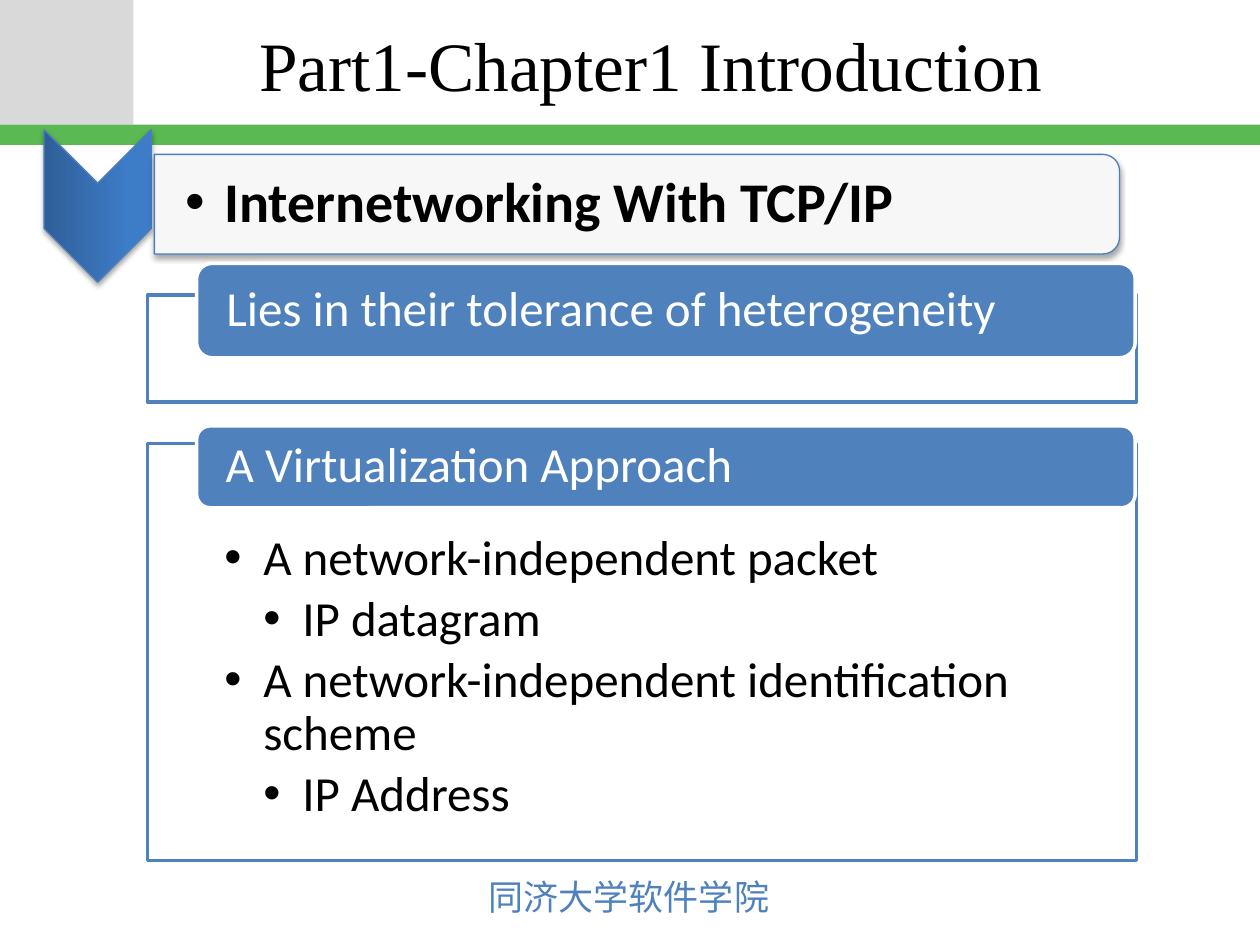
from lxml.etree import SubElement
from pptx import Presentation
from pptx.dml.color import RGBColor
from pptx.enum.shapes import MSO_SHAPE as Preset
from pptx.enum.text import MSO_ANCHOR as Anchor, PP_ALIGN as Align
from pptx.oxml import parse_xml
from pptx.oxml.ns import nsdecls, qn
from pptx.util import Inches, Pt

BLACK = RGBColor(0x00, 0x00, 0x00)
WHITE = RGBColor(0xFF, 0xFF, 0xFF)
GRAY = RGBColor(0xD9, 0xD9, 0xD9)
PALE = RGBColor(0xF7, 0xF7, 0xF7)
GREEN = RGBColor(0x5A, 0xB9, 0x53)
BLUE = RGBColor(0x4F, 0x81, 0xBD)
EDGE_BLUE = RGBColor(0x4B, 0x7E, 0xBC)
DARK_BLUE = RGBColor(0x2F, 0x5F, 0x99)
BRIGHT_BLUE = RGBColor(0x3D, 0x7C, 0xC7)

INDENT = 0.31
SHADOW = (
    f'<a:effectLst {nsdecls("a")}><a:outerShdw blurRad="39370" dist="22860" '
    'dir="5400000" rotWithShape="0"><a:srgbClr val="000000">'
    '<a:alpha val="35000"/></a:srgbClr></a:outerShdw></a:effectLst>'
)


class SlideBuilder:
    body_font = "Calibri"
    title_font = "Times New Roman"
    footer_font = "Noto Sans CJK JP"

    def __init__(self, presentation):
        self.slide = presentation.slides.add_slide(presentation.slide_layouts[5])

    def box(self, preset, bounds, fill, line=None, width=0.75, rotation=0):
        shape = self.slide.shapes.add_shape(preset, *map(Inches, bounds))
        shape.shadow.inherit = False
        shape.rotation = rotation
        shape.fill.solid()
        shape.fill.fore_color.rgb = fill
        if line is None:
            shape.line.fill.background()
        else:
            shape.line.color.rgb = line
            shape.line.width = Pt(width)
        return shape

    def raised_box(self, preset, bounds, fill):
        """Add a shape turned by 90 degrees, with a thin edge and a soft shadow."""
        shape = self.box(preset, bounds, fill, EDGE_BLUE, rotation=90)
        properties = shape._element.spPr
        properties.replace(properties.find(qn("a:effectLst")), parse_xml(SHADOW))
        return shape

    def text_box(self, bounds):
        return self.slide.shapes.add_textbox(*map(Inches, bounds))

    def frame(self, shape, insets, anchor=Anchor.MIDDLE, wrap=True):
        frame = shape.text_frame
        settings = {"word_wrap": wrap, "vertical_anchor": anchor}
        for side, inset in zip(("left", "top", "right", "bottom"), insets):
            settings[f"margin_{side}"] = Inches(inset)
        for name, value in settings.items():
            setattr(frame, name, value)
        return frame

    def set_text(self, paragraph, text, align=Align.LEFT, **font):
        paragraph.text = text
        paragraph.alignment = align
        color = font.pop("color", BLACK)
        for name, value in {"name": self.body_font, **font}.items():
            setattr(paragraph.runs[0].font, name, value)
        paragraph.runs[0].font.color.rgb = color

    def bullets(self, frame, items, **font):
        """Fill the frame with (level, text) items, each level one indent further in."""
        for index, (level, text) in enumerate(items):
            paragraph = frame.paragraphs[0] if index == 0 else frame.add_paragraph()
            properties = paragraph._p.get_or_add_pPr()
            properties.set("marL", str(Inches(INDENT * level)))
            properties.set("indent", str(-Inches(INDENT)))
            SubElement(properties, qn("a:buFont"), typeface="Arial")
            SubElement(properties, qn("a:buChar"), char="•")
            paragraph.level = level
            paragraph.line_spacing = 0.9
            paragraph.space_before = Pt(0)
            paragraph.space_after = Pt(4.6)
            self.set_text(paragraph, text, **font)

    def title(self, text, bounds):
        title = self.slide.shapes.title
        for name, value in zip(("left", "top", "width", "height"), bounds):
            setattr(title, name, Inches(value))
        frame = self.frame(title, (0.1, 0.05, 0.1, 0.05))
        self.set_text(frame.paragraphs[0], text, Align.CENTER,
                      name=self.title_font, size=Pt(39.6))

    def footer(self, text, bounds):
        frame = self.frame(self.text_box(bounds), (0.1, 0.05, 0.1, 0.05),
                           Anchor.TOP, wrap=False)
        paragraph = frame.paragraphs[0]
        self.set_text(paragraph, text, name=self.footer_font, size=Pt(20), color=BLUE)
        SubElement(paragraph.runs[0]._r.get_or_add_rPr(), qn("a:ea"),
                   typeface=self.footer_font)

    def section(self, heading, top, height, label_top, label_height, items=()):
        """Add an outlined panel with a heading label over its top edge."""
        panel = self.box(Preset.RECTANGLE, (1.17, top, 7.85, height), WHITE, BLUE, 2)
        if items:
            frame = self.frame(panel, (0.61, 0.71, 0.61, 0.22), Anchor.TOP)
            self.bullets(frame, items, size=Pt(28))
        label = self.box(Preset.ROUNDED_RECTANGLE,
                         (1.56, label_top, 7.45, label_height), BLUE, WHITE, 2)
        paragraph = self.frame(label, (0.2, 0, 0.2, 0)).paragraphs[0]
        paragraph.line_spacing = 0.9
        self.set_text(paragraph, heading, size=Pt(28), color=WHITE)

    def chevron(self, bounds):
        shape = self.raised_box(Preset.CHEVRON, bounds, DARK_BLUE)
        shape.fill.gradient()
        shape.fill.gradient_angle = 90
        stops = zip(shape.fill.gradient_stops, (0, 0.8), (DARK_BLUE, BRIGHT_BLUE))
        for stop, position, color in stops:
            stop.position = position
            stop.color.rgb = color


def main():
    presentation = Presentation()
    presentation.slide_width = Inches(10)
    presentation.slide_height = Inches(7.5)
    builder = SlideBuilder(presentation)

    builder.box(Preset.RECTANGLE, (0, 0, 1.06, 0.99), GRAY)
    builder.box(Preset.RECTANGLE, (0, 0.99, 10, 0.16), GREEN)
    builder.footer("同济大学软件学院", (3.78, 6.9, 2.45, 0.44))
    builder.title("Part1-Chapter1 Introduction", (1.74, 0.02, 6.85, 0.98))

    builder.chevron((0.17, 1.21, 1.21, 0.85))
    builder.raised_box(Preset.ROUND_2_SAME_RECTANGLE, (4.66, -2.21, 0.79, 7.66), PALE)
    topic = builder.frame(builder.text_box((1.22, 1.27, 7.63, 0.71)),
                          (0.25, 0.02, 0.02, 0.02))
    builder.bullets(topic, [(1, "Internetworking With TCP/IP")],
                    size=Pt(32), bold=True)

    builder.section("Lies in their tolerance of heterogeneity", 2.34, 0.85, 2.09, 0.75)
    builder.section("A Virtualization Approach", 3.52, 3.31, 3.38, 0.65, [
        (1, "A network-independent packet"),
        (2, "IP datagram"),
        (1, "A network-independent identification scheme"),
        (2, "IP Address"),
    ])
    presentation.save("out.pptx")


if __name__ == "__main__":
    main()
